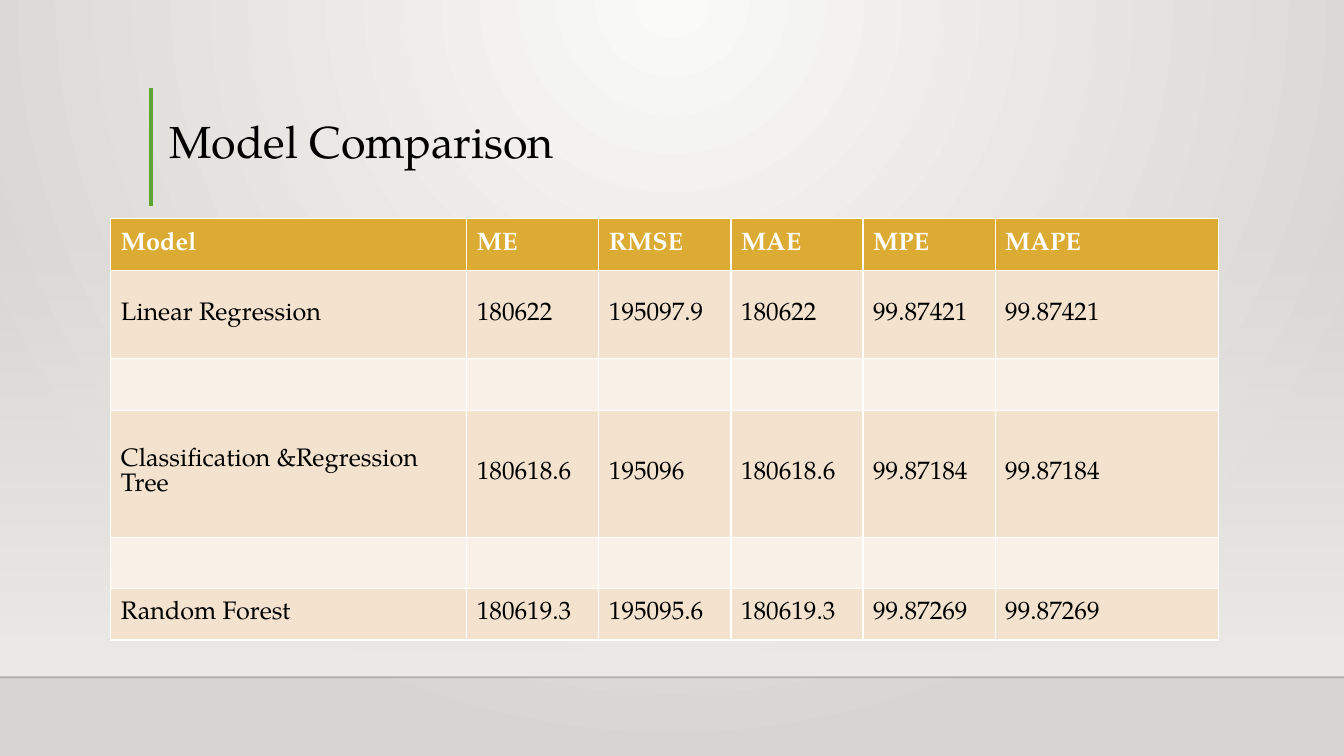
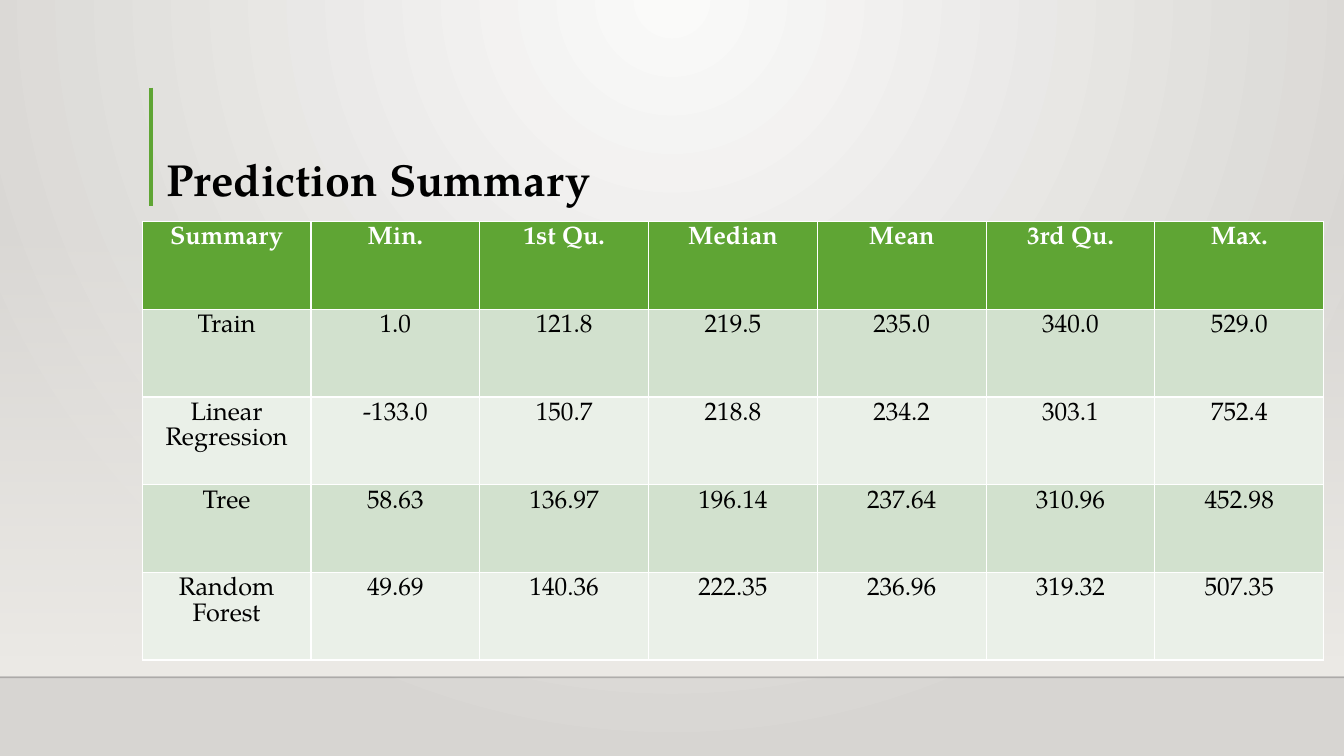
import pptx
import pptx.dml.color
import pptx.enum.shapes
import pptx.enum.text
import pptx.oxml
import pptx.oxml.ns
import pptx.util

Pt = pptx.util.Pt
RGB = pptx.dml.color.RGBColor.from_string
ANCHOR = pptx.enum.text.MSO_ANCHOR
ALIGN = pptx.enum.text.PP_ALIGN
NS = pptx.oxml.ns.nsdecls("a")
FONT = "TeX Gyre Pagella"
COLORS = {
    "text": "000000", "white": "FFFFFF", "rule": "000001",
    "back_in": "FAFAF9", "back_out": "D7D5D2", "band": "EDEBE7",
    "green": "5FA534", "green_mid": "D2E1CE", "green_pale": "EAF0E8",
    "gold": "DCAB34", "gold_mid": "F2E2CE", "gold_pale": "F9F1E8",
}

prs = pptx.Presentation()
prs.slide_width = pptx.util.Inches(13.33)
prs.slide_height = pptx.util.Inches(7.5)


def box(left, top, width, height):
    w, h = prs.slide_width / 100, prs.slide_height / 100
    return [round(v) for v in (left * w, top * h, width * w, height * h)]


def style(p, size, color, bold, align):
    p.alignment = align
    p.font.name = FONT
    p.font.size = Pt(size)
    p.font.bold = bold
    p.font.color.rgb = RGB(COLORS[color])


layout = prs.slide_layouts[5]
master = prs.slide_master
fill = master.background.fill
fill.gradient()
for stop, color in zip(fill.gradient_stops, ("back_in", "back_out")):
    stop.color.rgb = RGB(COLORS[color])
lin = master.element.xpath("./p:cSld/p:bg//a:lin")[0]
lin.getparent().replace(lin, pptx.oxml.parse_xml(
    f'<a:path {NS} path="circle">'
    '<a:fillToRect l="43000" t="0" r="43000" b="100000"/></a:path>'))

slides = [prs.slides.add_slide(layout) for _ in range(2)]

shapes = slides[0].shapes
band = shapes.add_shape(pptx.enum.shapes.MSO_SHAPE.RECTANGLE, *box(0, 29.33, 100, 60))
band.shadow.inherit = False
band.line.fill.background()
band.fill.gradient()
band.fill.gradient_angle = 270
for stop in band.fill.gradient_stops:
    stop.color.rgb = RGB(COLORS["band"])
clear = band.element.xpath(".//a:gs/a:srgbClr")[0]
clear.append(pptx.oxml.parse_xml(f'<a:alpha {NS} val="0"/>'))

decor = [band]
for x1, y1, x2, y2, color, width in [
    (0, 89.6, 100, 89.6, "rule", 1),
    (11.25, 11.6, 11.25, 27.2, "green", 3),
]:
    line = shapes.add_connector(
        pptx.enum.shapes.MSO_CONNECTOR.STRAIGHT, *box(x1, y1, x2, y2))
    line.line.color.rgb = RGB(COLORS[color])
    line.line.width = Pt(width)
    line.element.spPr.append(pptx.oxml.parse_xml(f"<a:effectLst {NS}/>"))
    decor.append(line)
faint = decor[1].element.xpath(".//a:ln//a:srgbClr")[0]
faint.append(pptx.oxml.parse_xml(f'<a:alpha {NS} val="20000"/>'))

for n, sp in enumerate(decor):
    sp.element.xpath("./*/p:cNvPr")[0].set("id", str(20 + n))
    layout.shapes.element.insert(2 + n, sp.element)

pages = [
    {
        "title": "Model Comparison", "bold": False,
        "title_box": (11.85, 10.93, 78.84, 16.27), "title_anchor": ANCHOR.MIDDLE,
        "origin": (8.25, 28.93), "hue": "gold",
        "cols": [26.48] + [9.83] * 4 + [16.6],
        "rows": [6.8, 11.73, 6.8, 16.8, 6.8, 6.8],
        "anchor": ANCHOR.MIDDLE, "align": ALIGN.LEFT,
        "data": [
            ["Model", "ME", "RMSE", "MAE", "MPE", "MAPE"],
            ["Linear Regression", "180622", "195097.9", "180622", "99.87421", "99.87421"],
            [""] * 6,
            ["Classification &Regression\nTree", "180618.6", "195096", "180618.6",
             "99.87184", "99.87184"],
            [""] * 6,
            ["Random Forest", "180619.3", "195095.6", "180619.3", "99.87269", "99.87269"],
        ],
    },
    {
        "title": "Prediction Summary", "bold": True,
        "title_box": (11.63, 12.67, 78.1, 15.33), "title_anchor": ANCHOR.BOTTOM,
        "origin": (10.58, 29.33), "hue": "green",
        "cols": [12.56] * 7,
        "rows": [11.6] * 5,
        "anchor": ANCHOR.TOP, "align": ALIGN.CENTER,
        "data": [
            ["Summary", "Min.", "1st Qu.", "Median", "Mean", "3rd Qu.", "Max."],
            ["Train", "1.0", "121.8", "219.5", "235.0", "340.0", "529.0"],
            ["Linear Regression", "-133.0", "150.7", "218.8", "234.2", "303.1", "752.4"],
            ["Tree", "58.63", "136.97", "196.14", "237.64", "310.96", "452.98"],
            ["Random Forest", "49.69", "140.36", "222.35", "236.96", "319.32", "507.35"],
        ],
    },
]

for s, page in zip(slides, pages):
    title = s.shapes.title
    title.left, title.top, title.width, title.height = box(*page["title_box"])
    tf = title.text_frame
    tf.text = page["title"]
    tf.auto_size = pptx.enum.text.MSO_AUTO_SIZE.NONE
    tf.vertical_anchor = page["title_anchor"]
    tf.paragraphs[0].line_spacing = 0.9
    style(tf.paragraphs[0], 32, "text", page["bold"], ALIGN.LEFT)

    cols, rows, hue = page["cols"], page["rows"], page["hue"]
    table = s.shapes.add_table(
        len(rows), len(cols), *box(*page["origin"], sum(cols), sum(rows))).table
    for col, share in zip(table.columns, cols):
        col.width = box(0, 0, share, 0)[2]
    for i, (row, share) in enumerate(zip(table.rows, rows)):
        row.height = box(0, 0, 0, share)[3]
        header = i == 0
        shade = hue if header else hue + ("_mid" if i % 2 else "_pale")
        for cell, text in zip(row.cells, page["data"][i]):
            cell.text = text
            cell.vertical_anchor = page["anchor"]
            cell.fill.solid()
            cell.fill.fore_color.rgb = RGB(COLORS[shade])
            for p in cell.text_frame.paragraphs:
                style(p, 18, "white" if header else "text", header, page["align"])

prs.save("out.pptx")
